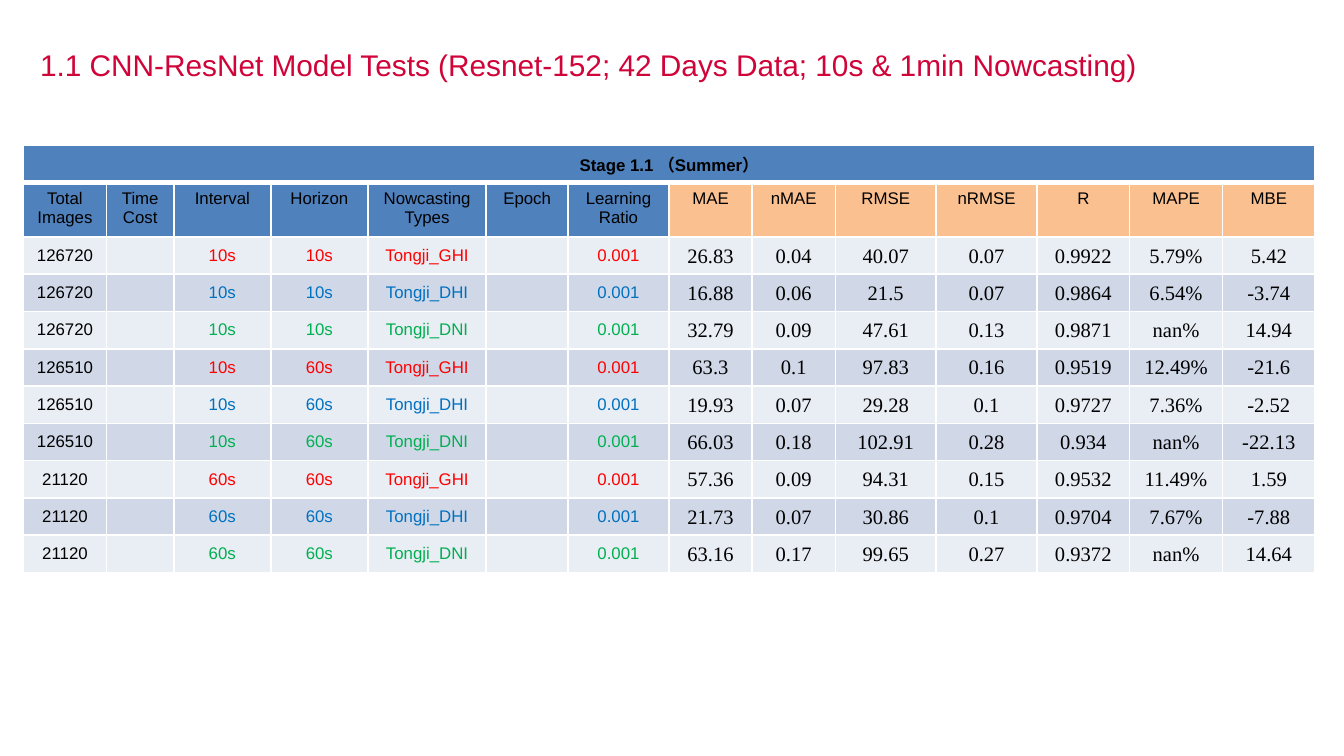
from dataclasses import dataclass

import lxml.etree
import pptx
import pptx.dml.color
import pptx.enum.text
import pptx.oxml.ns
import pptx.util

Pt = pptx.util.Pt
qn = pptx.oxml.ns.qn


@dataclass(frozen=True)
class Theme:
    sans: str = "Arial"
    serif: str = "Times New Roman"
    title_size: float = 16
    label_size: float = 9
    metric_size: float = 11
    title: str = "D00439"
    text: str = "000000"
    border: str = "FFFFFF"
    setting_head: str = "4F81BD"
    metric_head: str = "FAC090"
    bands: tuple[str, str] = ("E9EDF4", "D0D8E8")


@dataclass(frozen=True)
class Style:
    font: str
    size: float
    color: str
    bold: bool = False


@dataclass(frozen=True)
class Column:
    head: str
    width: float
    is_metric: bool = False


@dataclass(frozen=True)
class TestGroup:
    images: str
    interval: str
    horizon: str
    metrics: tuple[str, str, str]  # one line of values per irradiance type


THEME = Theme()
LABEL = Style(THEME.sans, THEME.label_size, THEME.text)
METRIC = Style(THEME.serif, THEME.metric_size, THEME.text)

COLUMNS = [
    Column("Total\nImages", 44.6),
    Column("Time Cost", 36),
    Column("Interval", 52),
    Column("Horizon", 52),
    Column("Nowcasting\nTypes", 63.4),
    Column("Epoch", 43.9),
    Column("Learning Ratio", 54),
    Column("MAE", 44.6, True),
    Column("nMAE", 44.6, True),
    Column("RMSE", 54, True),
    Column("nRMSE", 54, True),
    Column("R", 49.7, True),
    Column("MAPE", 49.7, True),
    Column("MBE", 49.7, True),
]
IRRADIANCE_COLORS = {
    "Tongji_GHI": "FF0000",
    "Tongji_DHI": "0070C0",
    "Tongji_DNI": "00B050",
}
GROUPS = [
    TestGroup("126720", "10s", "10s", (
        "26.83 0.04 40.07 0.07 0.9922 5.79% 5.42",
        "16.88 0.06 21.5 0.07 0.9864 6.54% -3.74",
        "32.79 0.09 47.61 0.13 0.9871 nan% 14.94")),
    TestGroup("126510", "10s", "60s", (
        "63.3 0.1 97.83 0.16 0.9519 12.49% -21.6",
        "19.93 0.07 29.28 0.1 0.9727 7.36% -2.52",
        "66.03 0.18 102.91 0.28 0.934 nan% -22.13")),
    TestGroup("21120", "60s", "60s", (
        "57.36 0.09 94.31 0.15 0.9532 11.49% 1.59",
        "21.73 0.07 30.86 0.1 0.9704 7.67% -7.88",
        "63.16 0.17 99.65 0.27 0.9372 nan% 14.64")),
]
LEARNING_RATIO = "0.001"
ROW_HEIGHT = 20
HEAD_HEIGHT = 28


def rgb(color: str) -> pptx.dml.color.RGBColor:
    return pptx.dml.color.RGBColor.from_string(color)


def write(tf, text: str, style: Style) -> None:
    tf.text = text
    for p in tf.paragraphs:
        for r in p.runs:
            r.font.name = style.font
            r.font.size = Pt(style.size)
            r.font.bold = style.bold
            r.font.color.rgb = rgb(style.color)


def set_borders(cell, bottom: float) -> None:
    tc_pr = cell._tc.get_or_add_tcPr()
    for side, width in (("L", 1), ("R", 1), ("T", 1), ("B", bottom)):
        ln = lxml.etree.SubElement(tc_pr, qn(f"a:ln{side}"), w=str(Pt(width)))
        fill = lxml.etree.SubElement(ln, qn("a:solidFill"))
        lxml.etree.SubElement(fill, qn("a:srgbClr"), val=THEME.border)


def fill_cell(cell, text: str, style: Style, fill: str, bottom: float = 1) -> None:
    set_borders(cell, bottom)
    cell.fill.solid()
    cell.fill.fore_color.rgb = rgb(fill)
    write(cell.text_frame, text, style)
    for p in cell.text_frame.paragraphs:
        p.alignment = pptx.enum.text.PP_ALIGN.CENTER
        if not text:  # keeps an empty cell from stretching its row
            lxml.etree.SubElement(p._p, qn("a:endParaRPr"), sz=str(int(style.size * 100)))


def add_title(s, text: str) -> None:
    sp = s.shapes.add_textbox(Pt(14.4), Pt(21.6), Pt(646.6), Pt(33))
    sp.text_frame.word_wrap = True
    write(sp.text_frame, text, Style(THEME.sans, THEME.title_size, THEME.title))


def add_body_row(table, row: int, group: TestGroup, kind: str, metrics: str) -> None:
    band = THEME.bands[row % 2]
    colored = Style(THEME.sans, THEME.label_size, IRRADIANCE_COLORS[kind])
    settings = [group.images, "", group.interval, group.horizon, kind, "", LEARNING_RATIO]
    for col, text in enumerate(settings + metrics.split()):
        cell = table.cell(row, col)
        cell.vertical_anchor = pptx.enum.text.MSO_ANCHOR.MIDDLE
        if COLUMNS[col].is_metric:
            style = METRIC
            cell.margin_left = cell.margin_right = cell.margin_top = Pt(0.7)
            cell.margin_bottom = Pt(0)
        else:
            style = colored if col else LABEL
        fill_cell(cell, text, style, band)


def add_results_table(s) -> None:
    tests = [(group, kind, metrics) for group in GROUPS
             for kind, metrics in zip(IRRADIANCE_COLORS, group.metrics)]
    rows = len(tests) + 2
    width = sum(column.width for column in COLUMNS)
    table = s.shapes.add_table(rows, len(COLUMNS), Pt(12.5), Pt(78),
                               Pt(width), Pt(rows * ROW_HEIGHT)).table
    table.first_row = table.horz_banding = False
    for row in table.rows:
        row.height = Pt(ROW_HEIGHT)
    table.rows[1].height = Pt(HEAD_HEIGHT)

    stage = Style(THEME.sans, THEME.label_size, THEME.text, bold=True)
    for col, column in enumerate(COLUMNS):
        table.columns[col].width = Pt(column.width)
        fill_cell(table.cell(0, col), "" if col else "Stage 1.1 （Summer）",
                  stage, THEME.setting_head, bottom=3)
        fill_cell(table.cell(1, col), column.head, LABEL,
                  THEME.metric_head if column.is_metric else THEME.setting_head)
    table.cell(0, 0).merge(table.cell(0, len(COLUMNS) - 1))

    for row, test in enumerate(tests, start=2):
        add_body_row(table, row, *test)


def main() -> None:
    prs = pptx.Presentation()
    prs.slide_width, prs.slide_height = Pt(720), Pt(405)
    s = prs.slides.add_slide(prs.slide_layouts[6])
    add_title(s, "1.1 CNN-ResNet Model Tests (Resnet-152; 42 Days Data; 10s & 1min Nowcasting)")
    add_results_table(s)
    prs.save("out.pptx")


if __name__ == "__main__":
    main()
